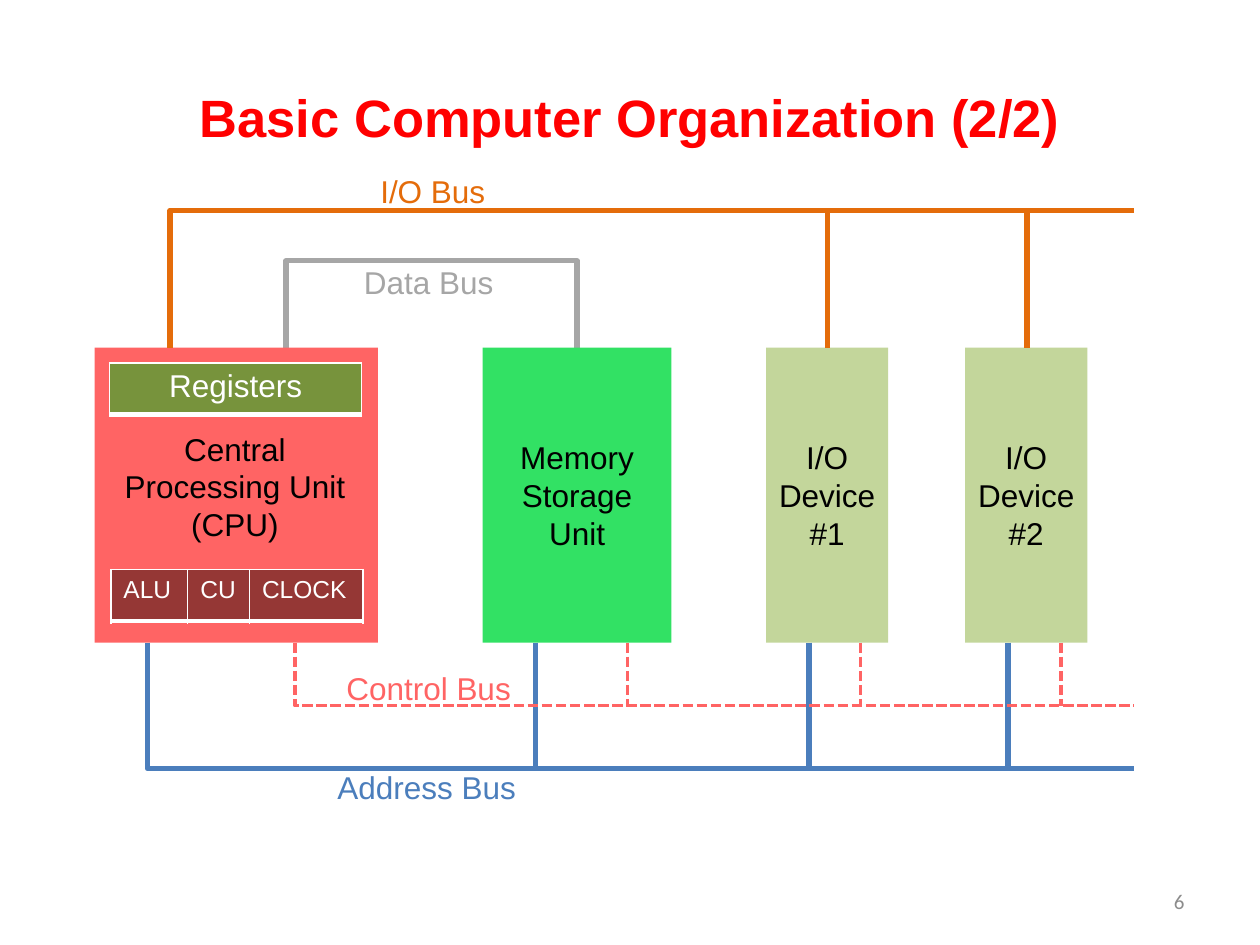
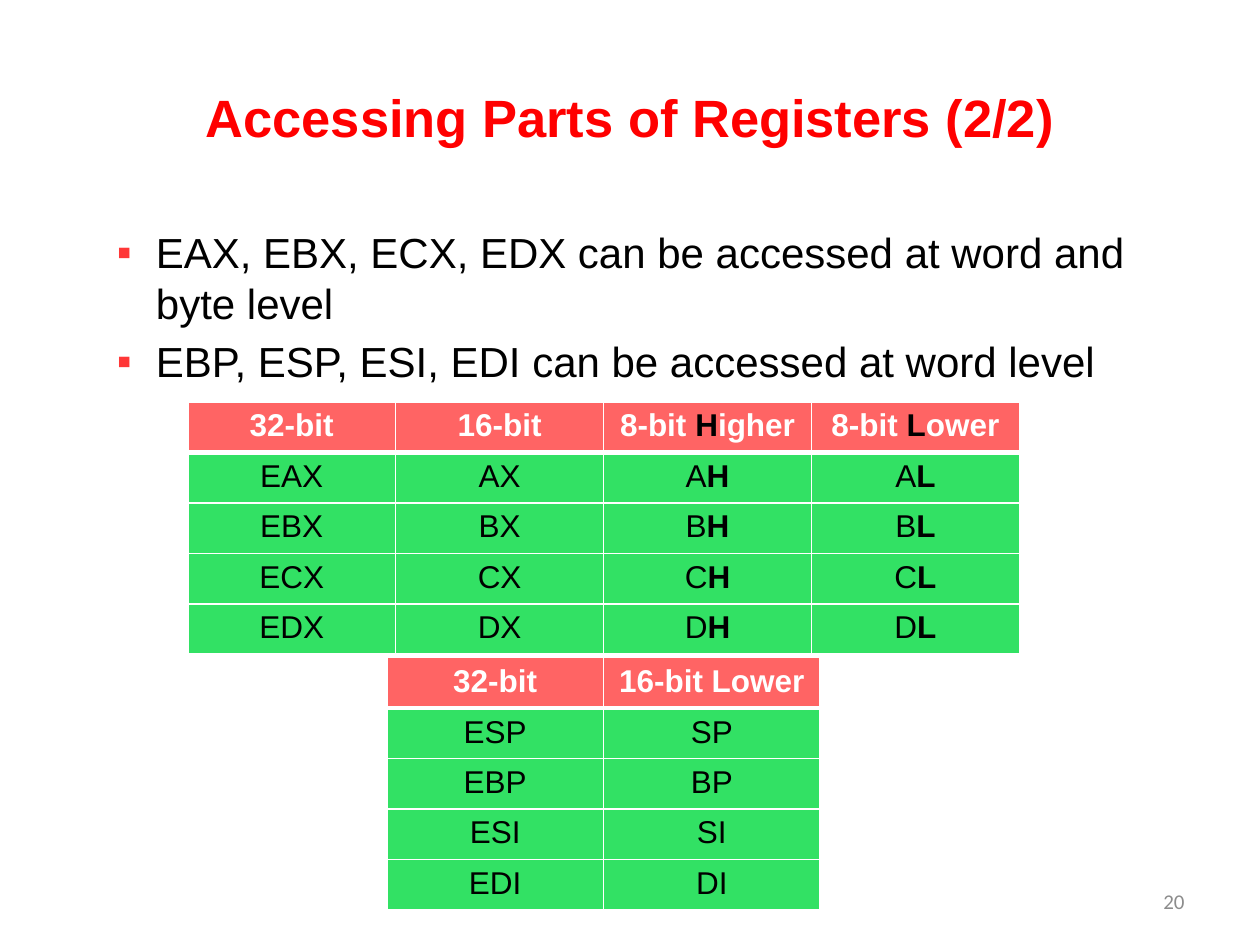
from lxml import etree
from pptx import Presentation
from pptx.dml.color import RGBColor
from pptx.enum.dml import MSO_LINE
from pptx.enum.shapes import MSO_CONNECTOR, MSO_SHAPE
from pptx.enum.text import MSO_ANCHOR, PP_ALIGN
from pptx.oxml.ns import qn
from pptx.util import Inches, Pt

RED = RGBColor(0xFF, 0x00, 0x00)
BULLET_RED = RGBColor(0xFF, 0x37, 0x37)
CORAL = RGBColor(0xFF, 0x64, 0x64)
GREEN = RGBColor(0x32, 0xE1, 0x64)
SAGE = RGBColor(0xC3, 0xD6, 0x9B)
OLIVE = RGBColor(0x77, 0x93, 0x3C)
MAROON = RGBColor(0x95, 0x37, 0x35)
ORANGE = RGBColor(0xE4, 0x6C, 0x0A)
BLUE = RGBColor(0x4B, 0x7E, 0xBC)
GRAY = RGBColor(0xA6, 0xA6, 0xA6)
FOOTER_GRAY = RGBColor(0x8C, 0x8C, 0x8C)
BLACK = RGBColor(0, 0, 0)
WHITE = RGBColor(0xFF, 0xFF, 0xFF)

LEFT, CENTER, RIGHT = PP_ALIGN.LEFT, PP_ALIGN.CENTER, PP_ALIGN.RIGHT
TOP, MIDDLE = MSO_ANCHOR.TOP, MSO_ANCHOR.MIDDLE
STRAIGHT, ELBOW = MSO_CONNECTOR.STRAIGHT, MSO_CONNECTOR.ELBOW
DASH = MSO_LINE.SQUARE_DOT
RECT = MSO_SHAPE.RECTANGLE

W, H = 10, 7.5
UNIT_TOP, UNIT_H = 2.76, 2.34
UNIT_BOTTOM = UNIT_TOP + UNIT_H
BUS_END = 0.9 * W

UNITS = [
    ("", 0.75, 2.25, CORAL),
    ("Memory Storage Unit", 3.83, 1.5, GREEN),
    ("I/O Device #1", 6.08, 0.97, SAGE),
    ("I/O Device #2", 7.66, 0.97, SAGE),
]
CPU_LABEL = ["Central", "Processing Unit", "(CPU)"]
CPU_PARTS = [
    ([["Registers"]], 0.87, 2.88, [2], OLIVE, 18, CENTER),
    ([["ALU", "CU", "CLOCK"]], 0.88, 4.52, [0.61, 0.49, 0.9], MAROON, 14, LEFT),
]
BUSES = [
    (UNIT_TOP, 1.67, 1.35, [6.57, 8.15], ORANGE, 3, None),
    (UNIT_BOTTOM, 6.1, 1.17, [4.25, 6.42, 8], BLUE, 3, None),
    (UNIT_BOTTOM, 5.6, 2.34, [4.98, 6.83, 8.42], CORAL, 2, DASH),
]
DATA_BUS = [(2.27, UNIT_TOP), (2.27, 2.07), (4.58, 2.07), (4.58, UNIT_TOP)]
BUS_LABELS = [
    ("I/O Bus", 2.92, 1.32, 1.04, ORANGE),
    ("Address Bus", 2.58, 6.05, 1.63, BLUE),
    ("Control Bus", 2.65, 5.26, 1.52, CORAL),
    ("Data Bus", 2.79, 2.04, 1.24, GRAY),
]

ACCESS_RULES = [
    "EAX, EBX, ECX, EDX can be accessed at word and byte level",
    "EBP, ESP, ESI, EDI can be accessed at word level",
]
BYTE_REGISTERS = [["32-bit", "16-bit", "8-bit *H*igher", "8-bit *L*ower"]] + [
    [f"E{x}X", f"{x}X", f"{x}*H", f"{x}*L"] for x in "ABCD"]
WORD_REGISTERS = [["32-bit", "16-bit Lower"]] + [
    [f"E{x}", x] for x in ("SP", "BP", "SI", "DI")]
REGISTER_TABLES = [
    (BYTE_REGISTERS, 1.49, 3.19, 1.65),
    (WORD_REGISTERS, 3.07, 5.22, 1.72),
]


def write(tf, lines, size, color, align=LEFT, bold=False, font="Arial"):
    for i, line in enumerate(lines):
        p = tf.paragraphs[0] if i == 0 else tf.add_paragraph()
        p.alignment = align
        for j, part in enumerate(line.split("*")):
            marked = j % 2 == 1
            r = p.add_run()
            r.text = part
            r.font.name, r.font.size = font, Pt(size)
            r.font.bold = bold or marked
            r.font.color.rgb = BLACK if marked else color


def add_text(s, box, lines, size, color, align=LEFT, anchor=TOP, wrap=True, **style):
    tf = s.shapes.add_textbox(*map(Inches, box)).text_frame
    tf.word_wrap = wrap
    tf.vertical_anchor = anchor
    write(tf, lines, size, color, align, **style)
    return tf


def add_slide(prs, title, number):
    s = prs.slides.add_slide(prs.slide_layouts[6])
    add_text(s, (0.5, 0.3, W - 1, 1.25), [title], 30, RED, CENTER, MIDDLE, bold=True)
    add_text(s, (7.17, 6.95, 2.33, 0.4), [str(number)], 12, FOOTER_GRAY, RIGHT,
             MIDDLE, font="Calibri")
    return s


def set_line(line, color, width, dash=None):
    line.color.rgb = color
    line.width = Pt(width)
    if dash:
        line.dash_style = dash


def add_line(s, kind, x1, y1, x2, y2, color, width, dash):
    c = s.shapes.add_connector(kind, *map(Inches, (x1, y1, x2, y2)))
    set_line(c.line, color, width, dash)
    sp_pr = c._element.spPr
    etree.SubElement(sp_pr, qn("a:effectLst"))
    if kind == ELBOW:
        guides = sp_pr.find(qn("a:prstGeom")).find(qn("a:avLst"))
        etree.SubElement(guides, qn("a:gd"), name="adj1", fmla="val 0")


def set_borders(cell, top, bottom):
    tc_pr = cell._tc.get_or_add_tcPr()
    for i, (side, width) in enumerate(zip("LRTB", (1, 1, top, bottom))):
        ln = etree.Element(qn(f"a:ln{side}"), w=str(Pt(width)))
        fill = etree.SubElement(ln, qn("a:solidFill"))
        etree.SubElement(fill, qn("a:srgbClr"), val=str(WHITE))
        tc_pr.insert(i, ln)


def add_table(s, rows, left, top, widths, row_h, head_fill, size=18, align=CENTER,
              head_bold=True):
    box = (left, top, sum(widths), row_h * len(rows))
    table = s.shapes.add_table(len(rows), len(widths), *map(Inches, box)).table
    for col, width in zip(table.columns, widths):
        col.width = Inches(width)
    for i, row in enumerate(rows):
        table.rows[i].height = Inches(row_h)
        head = i == 0
        for j, text in enumerate(row):
            cell = table.cell(i, j)
            cell.fill.solid()
            cell.fill.fore_color.rgb = head_fill if head else GREEN
            set_borders(cell, 3 if i == 1 else 1, 3 if head else 1)
            write(cell.text_frame, [text], size, WHITE if head else BLACK, align,
                  bold=head and head_bold)


def add_unit(s, text, left, width, color):
    sp = s.shapes.add_shape(RECT, *map(Inches, (left, UNIT_TOP, width, UNIT_H)))
    sp.shadow.inherit = False
    sp.fill.solid()
    sp.fill.fore_color.rgb = color
    sp.line.fill.background()
    if text:
        sp.text_frame.word_wrap = True
        sp.text_frame.vertical_anchor = MIDDLE
        write(sp.text_frame, [text], 18, BLACK, CENTER)


def add_data_bus(s):
    start, *corners = [(Inches(x), Inches(y)) for x, y in DATA_BUS]
    builder = s.shapes.build_freeform(*start)
    builder.add_line_segments(corners, close=False)
    sp = builder.convert_to_shape()
    sp.shadow.inherit = False
    sp.fill.background()
    set_line(sp.line, GRAY, 3)


def add_bullets(s, box, lines):
    tf = add_text(s, box, lines, 24, BLACK)
    for p in tf.paragraphs:
        p.space_before = Pt(4.8)
        p_pr = p._p.get_or_add_pPr()
        p_pr.set("marL", str(Inches(0.81)))
        p_pr.set("indent", str(Inches(-0.31)))
        color = etree.SubElement(p_pr, qn("a:buClr"))
        etree.SubElement(color, qn("a:srgbClr"), val=str(BULLET_RED))
        etree.SubElement(p_pr, qn("a:buFont"), typeface="Arial")
        etree.SubElement(p_pr, qn("a:buChar"), char="▪")


def organization_slide(prs):
    s = add_slide(prs, "Basic Computer Organization (2/2)", 6)
    add_data_bus(s)
    for unit in UNITS:
        add_unit(s, *unit)
    for edge, level, first, taps, *style in BUSES:
        add_line(s, ELBOW, first, edge, BUS_END, level, *style)
        for x in taps:
            add_line(s, STRAIGHT, x, edge, x, level, *style)
    add_text(s, (0.88, 3.36, 1.97, 1.01), CPU_LABEL, 18, BLACK, CENTER, wrap=False)
    for rows, left, top, widths, fill, size, align in CPU_PARTS:
        add_table(s, rows, left, top, widths, 0.41, fill, size, align, head_bold=False)
    for text, left, top, width, color in BUS_LABELS:
        add_text(s, (left, top, width, 0.4), [text], 18, color, wrap=False)


def registers_slide(prs):
    s = add_slide(prs, "Accessing Parts of Registers (2/2)", 20)
    add_bullets(s, (0.33, 1.75, 9, 4.95), ACCESS_RULES)
    for rows, left, top, width in REGISTER_TABLES:
        add_table(s, rows, left, top, [width] * len(rows[0]), 0.37, CORAL)


def main():
    prs = Presentation()
    prs.slide_width, prs.slide_height = Inches(W), Inches(H)
    organization_slide(prs)
    registers_slide(prs)
    prs.save("out.pptx")


if __name__ == "__main__":
    main()
